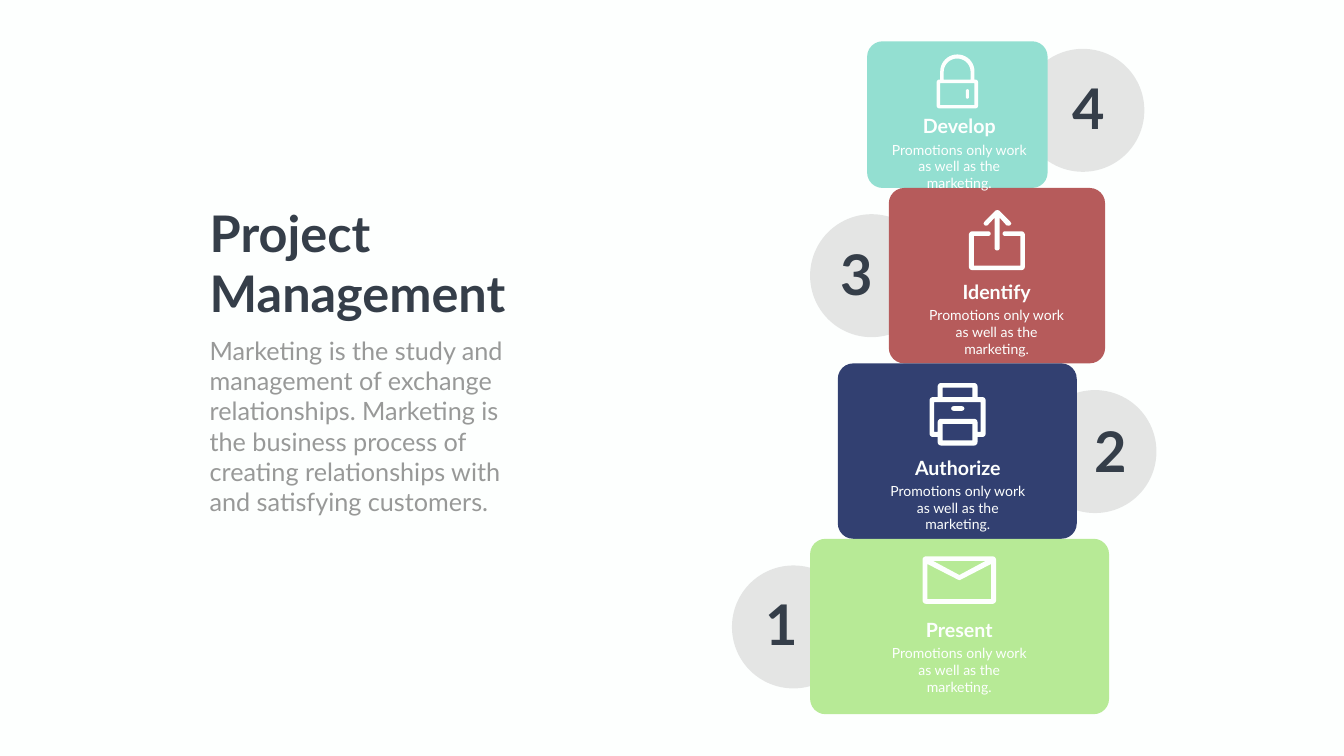
from math import sqrt

from lxml import etree
from pptx import Presentation
from pptx.dml.color import RGBColor
from pptx.enum.shapes import MSO_SHAPE
from pptx.enum.text import MSO_ANCHOR, MSO_AUTO_SIZE, PP_ALIGN
from pptx.oxml.ns import qn
from pptx.util import Pt

OVAL, ROUNDED = MSO_SHAPE.OVAL, MSO_SHAPE.ROUNDED_RECTANGLE
LEFT, CENTER, TOP = PP_ALIGN.LEFT, PP_ALIGN.CENTER, MSO_ANCHOR.TOP
NO_FIT = MSO_AUTO_SIZE.NONE

COLORS = {
    "paper": "FDFFFE", "ink": "353E49", "muted": "989998", "grey": "808080",
    "mint": "93DFD1", "red": "B65B5B", "navy": "324071", "lime": "B7EA96",
}
FORMATS = {
    "title": {"size": Pt(72), "bold": True, "color": "ink"},
    "intro": {"size": Pt(36), "bold": False, "color": "muted"},
    "number": {"size": Pt(80), "bold": True, "color": "ink"},
    "heading": {"size": Pt(28), "bold": True, "color": "paper"},
    "detail": {"size": Pt(20), "bold": False, "color": "paper"},
}
INTRO = ("Marketing is the study and management of exchange relationships. "
         "Marketing is the business process of creating relationships with "
         "and satisfying customers.")
DETAIL = ["Promotions only work", "as well as the marketing."]

# Stack from top to bottom; card is left, width, height; other pairs are left, top
STACK_TOP = 59
CIRCLE = 175.7
STEPS = [
    {"number": "4", "heading": "Develop", "color": "mint",
     "card": (1238.4, 257.8, 209.5), "circle": (1458.7, 69.8),
     "digit": (1524.2, 101.5), "text": (1297.4, 159.8)},
    {"number": "3", "heading": "Identify", "color": "red",
     "card": (1269.4, 308.9, 250.6), "circle": (1157, 306),
     "digit": (1192.3, 339.1), "text": (1350.7, 396.7)},
    {"number": "2", "heading": "Authorize", "color": "navy",
     "card": (1196.6, 341.3, 250.6), "circle": (1476, 557.3),
     "digit": (1555.2, 591.1), "text": (1295.3, 647.3)},
    {"number": "1", "heading": "Present", "color": "lime",
     "card": (1157, 427, 250.6), "circle": (1045.4, 807.8),
     "digit": (1085.8, 838.8), "text": (1297.4, 879.1)},
]

# Icon outlines: corners are x, y and an optional radius; later outlines are holes
LOCK = [
    [(0, 36, 3.6), (5, 36), (5, 0, 24.4), (54, 0, 24.4), (54, 36),
     (59, 36, 3.6), (59, 77, 3.6), (0, 77, 3.6)],
    [(10, 36), (10, 5.8, 19.2), (48.4, 5.8, 19.2), (48.4, 36)],
    [(5, 41), (54, 41), (54, 72.5), (5, 72.5)],
]
TRAY = [
    [(79.9, 0, 5), (79.9, 55.4, 5), (0, 55.4, 5), (0, 0, 5), (31, 0, 3.2),
     (31, 6.5, 3.2), (7.2, 6.5), (7.2, 49), (73.4, 49), (73.4, 6.5),
     (48.2, 6.5, 3.2), (48.2, 0, 3.2)],
]
ARROW = [
    [(17.3, 0.5), (19.8, 0), (22, 0.5), (38.2, 16.6), (39.6, 19.1),
     (38.2, 21.6), (36, 22.3), (32.6, 21.6), (23, 10.8), (23, 57.6, 3.5),
     (15.8, 57.6, 3.5), (15.8, 10.8), (5.8, 21.6), (3.6, 22.3), (1.4, 21.6),
     (0, 19.1), (1.4, 16.6)],
]
PRINTER = [
    [(0, 20.2, 4.5), (11.5, 20.2), (11.5, 0, 5), (68.4, 0, 5), (68.4, 20.2),
     (79.9, 20.2, 4.5), (79.9, 77, 4.5), (68.4, 77), (68.4, 89.3, 5),
     (11.5, 89.3, 5), (11.5, 77), (0, 77, 4.5)],
    [(18.7, 6.5), (61.2, 6.5), (61.2, 20.2), (18.7, 20.2)],
    [(18.7, 58.3), (61.2, 58.3), (61.2, 82), (18.7, 82)],
    [(6.5, 27.4), (72.7, 27.4), (72.7, 69.8), (68.4, 69.8), (68.4, 51.1, 5),
     (11.5, 51.1, 5), (11.5, 69.8), (6.5, 69.8)],
]
ENVELOPE = [
    [(0, 0, 5), (105, 0, 5), (105, 67.7, 5), (0, 67.7, 5)],
    [(15.1, 6.5), (90, 6.5), (52.6, 26.6)],
    [(6.8, 61.2), (6.8, 10.8), (50.4, 33.1), (52.6, 33.8), (54.7, 33.1),
     (98, 10.8), (98, 61.2)],
]
ICONS = [
    (LOCK, 1337.8, 77.8), (TRAY, 1383.8, 330.5), (ARROW, 1404.7, 300.2),
    (PRINTER, 1327.7, 547.2), (ENVELOPE, 1317.6, 794.9),
]
SLOTS = [(1379.5, 127.4, 4.3, 13.7), (1358.6, 580.3, 18.7, 6.5)]


def rgb(name):
    return RGBColor.from_string(COLORS[name])


def paint(shape, color, alpha=None):
    shape.shadow.inherit = False
    shape.fill.solid()
    shape.fill.fore_color.rgb = rgb(color)
    shape.line.fill.background()
    if alpha is not None:
        clr = shape.fill._xPr.find(".//" + qn("a:srgbClr"))
        etree.SubElement(clr, qn("a:alpha"), val=str(alpha * 1000))


def add_block(s, kind, box, color, radius=None, alpha=None):
    shape = s.shapes.add_shape(kind, *map(Pt, box))
    if radius is not None:
        shape.adjustments[0] = radius / min(box[2:])
    paint(shape, color, alpha)


def round_corners(corners, steps=10):
    """Replace each corner that has a radius by points along its arc."""
    points = []
    for i, (x, y, *radius) in enumerate(corners):
        if not radius:
            points.append((x, y))
            continue
        ends = []
        for near in (corners[i - 1], corners[(i + 1) % len(corners)]):
            dx, dy = near[0] - x, near[1] - y
            share = radius[0] / sqrt(dx * dx + dy * dy)
            ends.append((x + dx * share, y + dy * share))
        (ax, ay), (bx, by) = ends
        for k in range(steps + 1):
            t = k / steps
            a, c, b = (1 - t) ** 2, sqrt(2) * t * (1 - t), t * t
            total = a + b + c
            points.append(((a * ax + c * x + b * bx) / total,
                           (a * ay + c * y + b * by) / total))
    return points


def add_icon(s, outlines, left, top):
    paths = [[(Pt(x), Pt(y)) for x, y in round_corners(o)] for o in outlines]
    builder = s.shapes.build_freeform(*paths[0][0])
    for i, path in enumerate(paths):
        if i:
            builder.move_to(*path[0])
        builder.add_line_segments(path[1:], close=True)
    paint(builder.convert_to_shape(Pt(left), Pt(top)), "paper")


def write(shape, lines, style, align=CENTER, wrap=True):
    tf = shape.text_frame
    for name, value in {"word_wrap": wrap, "auto_size": NO_FIT,
                        "vertical_anchor": TOP}.items():
        setattr(tf, name, value)
    for i, line in enumerate(lines):
        p = tf.add_paragraph() if i else tf.paragraphs[0]
        p.alignment = align
        p.space_before = Pt(0)
        r = p.add_run()
        r.text = line
        r.font.name = "Lato"
        for name, value in FORMATS[style].items():
            if name == "color":
                r.font.color.rgb = rgb(value)
            else:
                setattr(r.font, name, value)


def add_text(s, box, lines, style, **options):
    write(s.shapes.add_textbox(*map(Pt, box)), lines, style, **options)


def main():
    prs = Presentation()
    prs.slide_width, prs.slide_height = Pt(1919.52), Pt(1080)
    s = prs.slides.add_slide(prs.slide_layouts[5])
    s.background.fill.solid()
    s.background.fill.fore_color.rgb = rgb("paper")

    # Title and introduction
    title = s.shapes.title
    title.left, title.top, title.width, title.height = map(
        Pt, (292.3, 284.4, 446.4, 181.4))
    write(title, ["Project", "Management"], "title", align=LEFT, wrap=False)
    add_text(s, (292.3, 475.2, 470.9, 269.3), [INTRO], "intro", align=LEFT)

    # Circles behind the stacked cards
    for step in STEPS:
        add_block(s, OVAL, (*step["circle"], CIRCLE, CIRCLE), "grey", alpha=20)
    top = STACK_TOP
    for step in STEPS:
        left, width, height = step["card"]
        add_block(s, ROUNDED, (left, top, width, height), step["color"], radius=22)
        top += height

    # Icons
    for icon in ICONS:
        add_icon(s, *icon)
    for slot in SLOTS:
        add_block(s, ROUNDED, slot, "paper", radius=min(slot[2:]) / 2)

    # Numbers and card text
    for step in STEPS:
        x, y = step["text"]
        add_text(s, (*step["digit"], 61.2, 104.4), [step["number"]], "number", wrap=False)
        add_text(s, (x, y, 145.4, 41), [step["heading"]], "heading")
        add_text(s, (x - 39.6, y + 38.3, 224.6, 55.4), DETAIL, "detail")

    prs.save("out.pptx")


if __name__ == "__main__":
    main()
